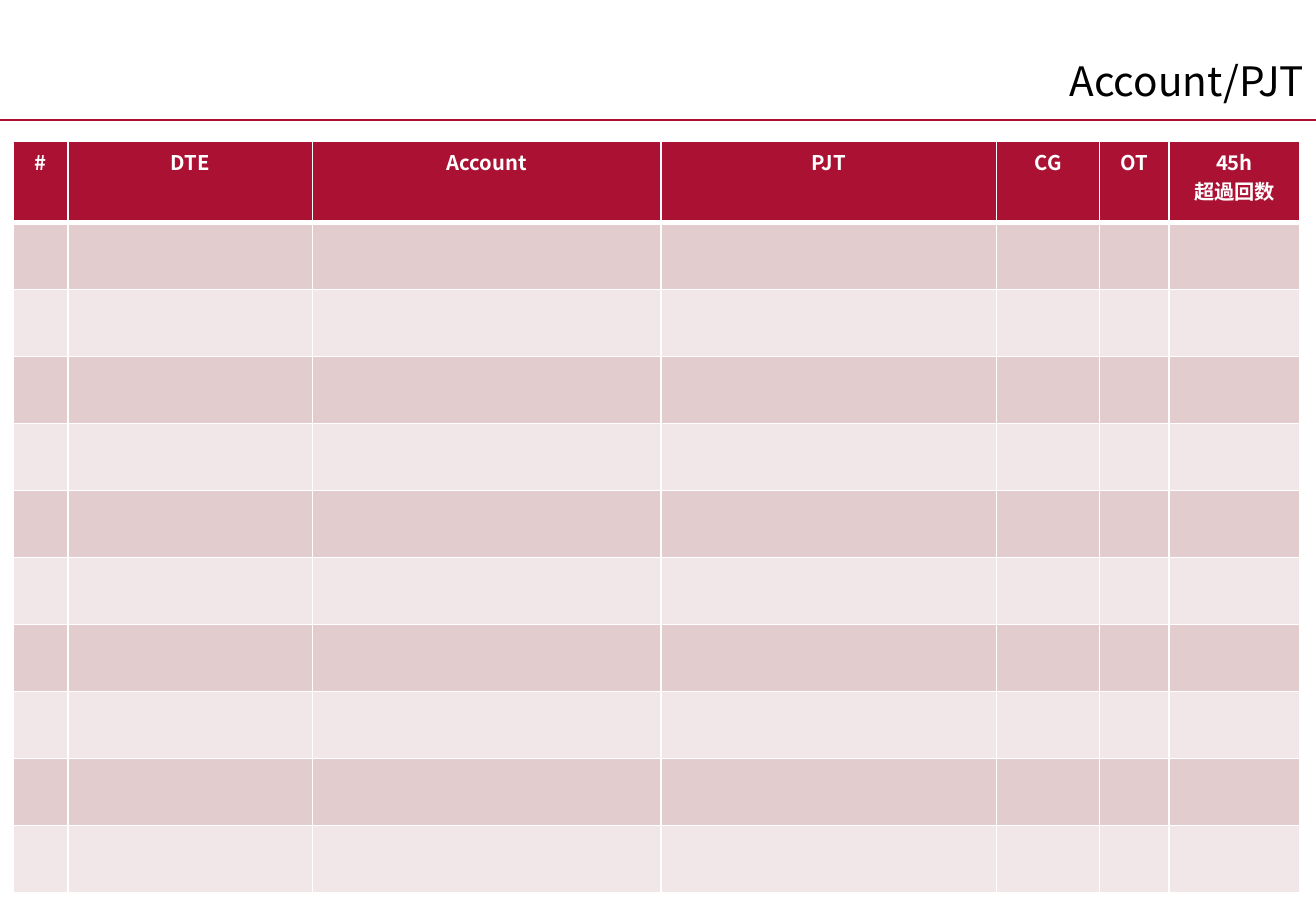
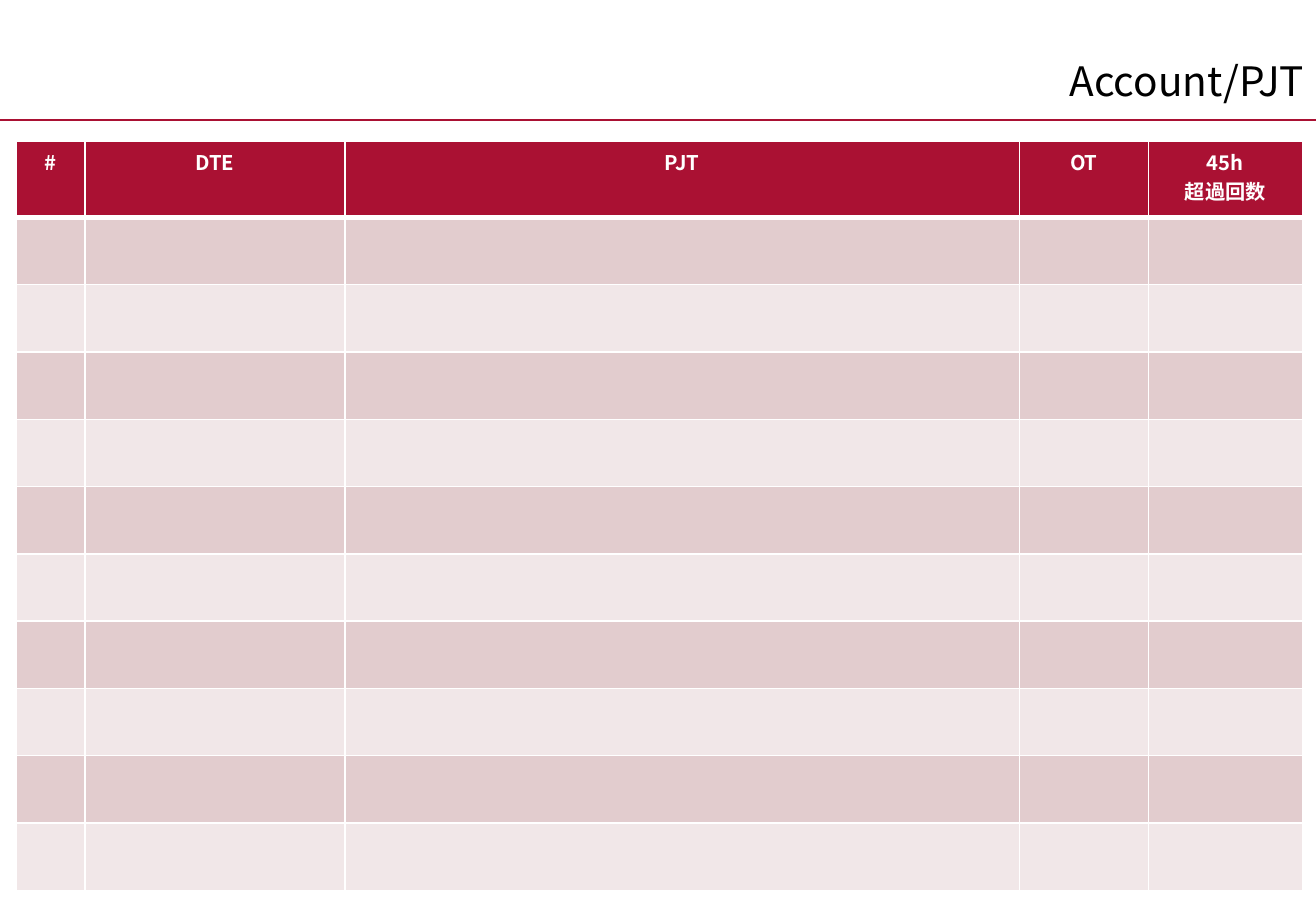
from dataclasses import dataclass

from lxml.etree import SubElement
from pptx import Presentation
from pptx.dml.color import RGBColor as RGB
from pptx.enum.shapes import MSO_CONNECTOR as Connector
from pptx.enum.text import MSO_ANCHOR as Anchor, PP_ALIGN as Align
from pptx.oxml.ns import qn
from pptx.util import Inches, Pt


@dataclass(frozen=True)
class Theme:
    accent: str = "AA1133"
    bands: tuple = ("E2CCCE", "F1E7E8")
    text: str = "000000"
    white: str = "FFFFFF"
    font: str = "Noto Sans CJK JP"
    title_size: int = 24
    header_size: int = 12
    rule: int = 1
    header_rule: int = 3


class Deck:
    """Builds slides on a grid of 100 columns by 100 rows."""

    def __init__(self, theme):
        self.theme = theme
        self.prs = Presentation()
        self.prs.slide_width = Inches(10.83)
        self.prs.slide_height = Inches(7.5)
        self.s = None

    def x(self, cols):
        return round(self.prs.slide_width * cols / 100)

    def y(self, rows):
        return round(self.prs.slide_height * rows / 100)

    def slide(self, title):
        self.s = self.prs.slides.add_slide(self.prs.slide_layouts[6])
        fill = self.s.background.fill
        fill.solid()
        fill.fore_color.rgb = RGB.from_string(self.theme.white)
        self.line(0, 13.2, 100)
        self.title(title)

    def line(self, left, top, width):
        sp = self.s.shapes.add_connector(
            Connector.STRAIGHT, self.x(left), self.y(top), self.x(left + width), self.y(top))
        sp.line.color.rgb = RGB.from_string(self.theme.accent)
        sp.line.width = Pt(self.theme.rule)
        SubElement(sp._element.spPr, qn("a:effectLst"))

    def title(self, text):
        sp = self.s.shapes.add_textbox(self.x(28.16), self.y(3.73), self.x(71.84), self.y(8.4))
        tf = sp.text_frame
        tf.word_wrap = True
        tf.vertical_anchor = Anchor.BOTTOM
        self.label(tf, text, self.theme.title_size, self.theme.text, Align.RIGHT)

    def label(self, tf, text, size, color, align, bold=False):
        tf.text = text
        for p in tf.paragraphs:
            p.alignment = align
            for r in p.runs:
                r.font.size = Pt(size)
                r.font.bold = bold
                r.font.name = self.theme.font
                r.font.color.rgb = RGB.from_string(color)
                SubElement(r.font._element, qn("a:ea"), typeface=self.theme.font)

    def cell(self, cell, color, top, bottom):
        tc_pr = cell._tc.get_or_add_tcPr()
        rule = self.theme.rule
        for side, width in (("L", rule), ("R", rule), ("T", top), ("B", bottom)):
            ln = SubElement(tc_pr, qn(f"a:ln{side}"), w=str(Pt(width)))
            SubElement(SubElement(ln, qn("a:solidFill")), qn("a:srgbClr"), val=self.theme.white)
        cell.fill.solid()
        cell.fill.fore_color.rgb = RGB.from_string(color)

    def table(self, left, top, columns, header_height, row_height, count=10):
        t = self.theme
        heights = [header_height] + [row_height] * count
        widths = [width for _, width in columns]
        table = self.s.shapes.add_table(
            len(heights), len(columns), self.x(left), self.y(top),
            self.x(sum(widths)), self.y(sum(heights))).table
        table.horz_banding = False
        for col, width in zip(table.columns, widths):
            col.width = self.x(width)
        for i, (row, height) in enumerate(zip(table.rows, heights)):
            row.height = self.y(height)
            color = t.bands[(i - 1) % 2] if i else t.accent
            above = t.header_rule if i == 1 else t.rule
            below = t.rule if i else t.header_rule
            for cell in row.cells:
                self.cell(cell, color, above, below)
        for cell, (text, _) in zip(table.rows[0].cells, columns):
            self.label(cell.text_frame, text, t.header_size, t.white, Align.CENTER, bold=True)


def main():
    deck = Deck(Theme())
    title, overtime = "Account/PJT", "45h\n超過回数"
    top = 15.47

    deck.slide(title)
    deck.table(1.02, top, [("#", 4.16), ("DTE", 18.56), ("Account", 26.5), ("PJT", 25.48),
                           ("CG", 7.85), ("OT", 5.26), (overtime, 9.97)], 8.93, 7.36)

    deck.slide(title)
    deck.table(1.2, top, [("#", 5.26), ("DTE", 19.76), ("PJT", 51.25),
                          ("OT", 9.79), (overtime, 11.73)], 8.4, 7.39)

    deck.prs.save("out.pptx")


if __name__ == "__main__":
    main()
